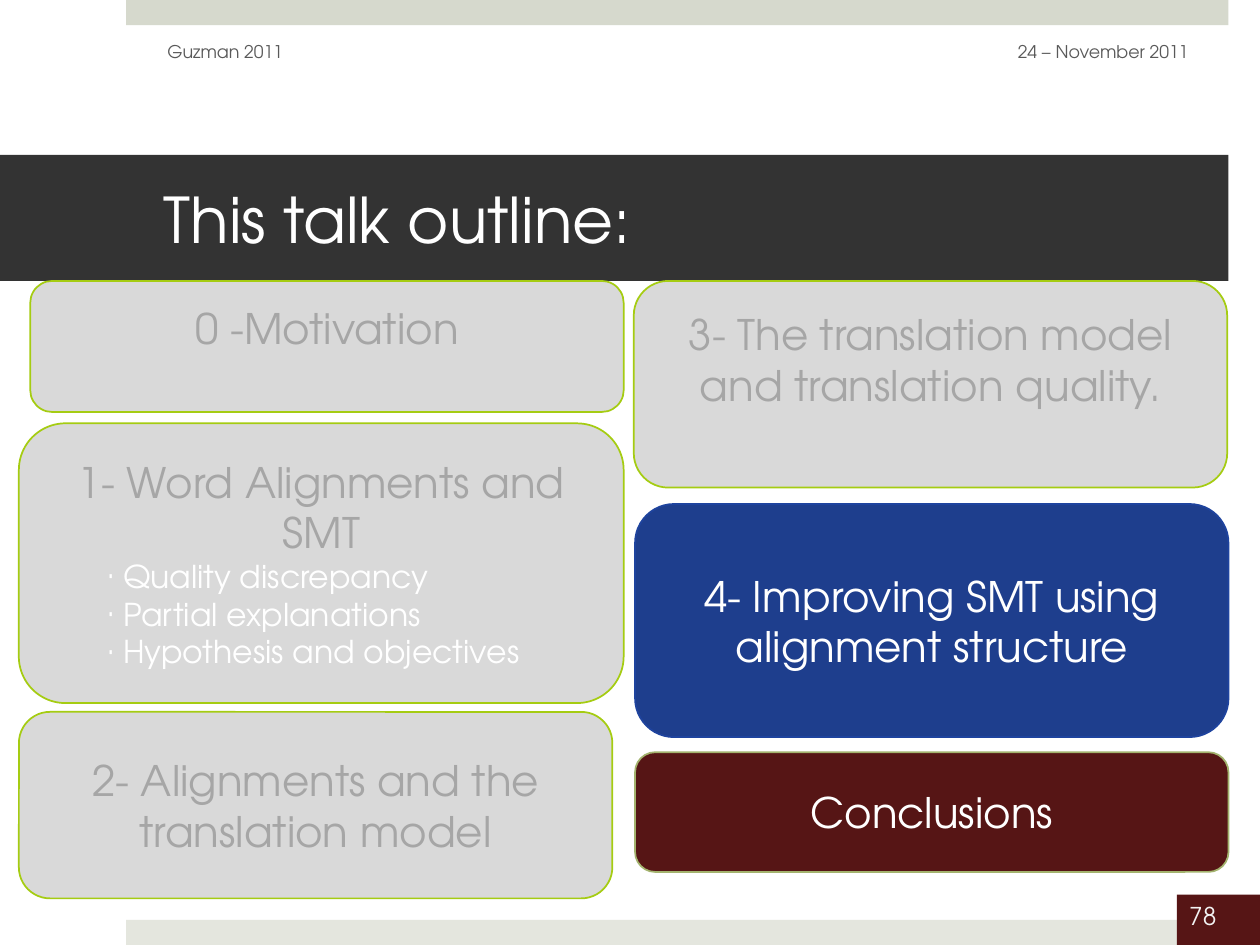
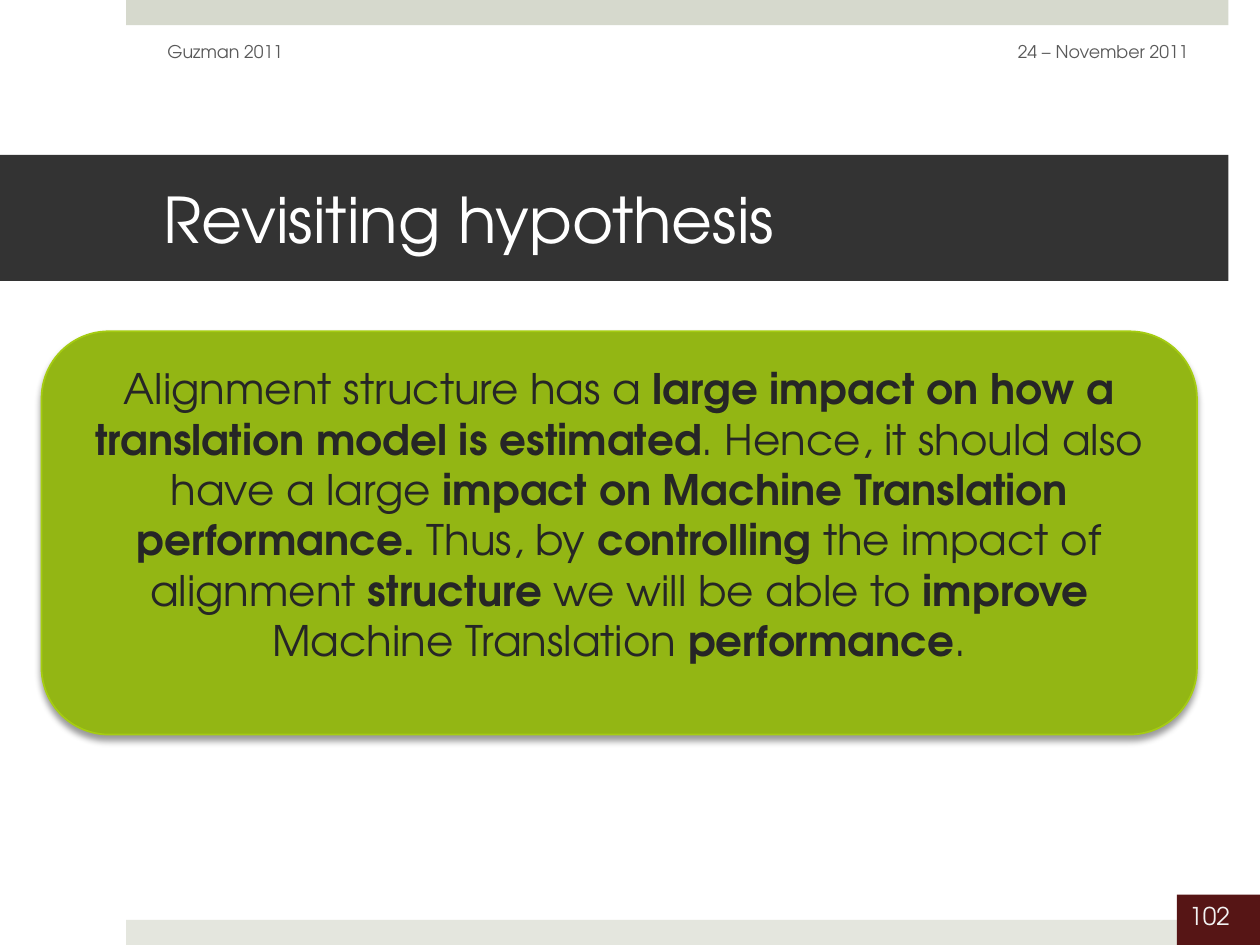
"""Build an outline slide and a hypothesis slide in one banded style."""
from lxml import etree
from pptx import Presentation
from pptx import util as u
from pptx.dml.color import RGBColor
from pptx.enum import shapes, text
from pptx.oxml import ns

FONT = "TeX Gyre Adventor"
DARK, WINE, WHITE = "333333", "561515", "FFFFFF"
GREY, FADED, LIME = "D9D9D9", "A6A6A6", "A5CC12"
COLS, ROWS = 10, 7.5
LEFT, RIGHT = text.PP_ALIGN.LEFT, text.PP_ALIGN.RIGHT
MID = text.PP_ALIGN.CENTER


def color(code):
    """Turn a hex string into a colour."""
    return RGBColor.from_string(code)


def child(parent, tag, **attrs):
    """Add a DrawingML element to a parent."""
    return etree.SubElement(parent, ns.qn("a:" + tag), attrs)


class Deck:
    """Hold the shared style and the current slide."""

    def __init__(self):
        """Start a deck of ten columns by seven and a half rows."""
        self.prs = Presentation()
        self.prs.slide_width, self.prs.slide_height = u.Inches(10), u.Inches(7.5)
        self.slide = None

    def grid(self, col, row, wide, high):
        """Turn grid units into a place and a size."""
        dx, dy = self.prs.slide_width / COLS, self.prs.slide_height / ROWS
        return [round(n) for n in (col * dx, row * dy, wide * dx, high * dy)]

    def rect(self, at, fill, line=None, kind=shapes.MSO_SHAPE.RECTANGLE):
        """Draw a flat filled shape."""
        box = self.slide.shapes.add_shape(kind, *self.grid(*at))
        box.shadow.inherit = False
        box.fill.solid()
        box.fill.fore_color.rgb = color(fill)
        if line:
            box.line.color.rgb = color(line)
            box.line.width = u.Pt(1)
        else:
            box.line.fill.background()
        return box

    def words(self, box, copy, size, ink, align=LEFT):
        """Fill a box with one paragraph, with bold parts between asterisks."""
        frame = box.text_frame
        frame.word_wrap = True
        frame.vertical_anchor = text.MSO_ANCHOR.MIDDLE
        para = frame.paragraphs[0]
        para.alignment = align
        for i, part in enumerate(copy.split("*")):
            run = para.add_run()
            run.text = part
            if i % 2:
                run.font.bold = True
        self.style(para, size, ink)

    def style(self, para, size, ink):
        """Set the font of a paragraph."""
        para.font.name, para.font.size = FONT, u.Pt(size)
        para.font.color.rgb = color(ink)

    def bullet(self, box, copy):
        """Add a small bulleted line to a card."""
        para = box.text_frame.add_paragraph()
        para.text = copy
        para.alignment = LEFT
        para.level = 1
        props = para._p.get_or_add_pPr()
        props.set("marL", str(u.Inches(0.62)))
        props.set("indent", str(u.Inches(-0.12)))
        child(props, "buFont", typeface=FONT)
        child(props, "buChar", char="·")
        self.style(para, 18, WHITE)

    def label(self, at, copy, align=LEFT):
        """Place a small header text."""
        box = self.slide.shapes.add_textbox(*self.grid(*at))
        self.words(box, copy, 10, "595959", align)

    def card(self, at, copy, fill=GREY, line=LIME, ink=FADED, lift=0):
        """Draw a rounded card, its text lifted by some bottom margin."""
        box = self.rect(at, fill, line, shapes.MSO_SHAPE.ROUNDED_RECTANGLE)
        self.words(box, copy, 24, ink, MID)
        box.text_frame.margin_bottom = u.Inches(0.05 + lift)
        return box

    def shade(self, box):
        """Give a card a soft shadow below."""
        effects = box._element.spPr.find(ns.qn("a:effectLst"))
        cast = child(effects, "outerShdw", blurRad=str(u.Pt(4)),
                     dist=str(u.Pt(3)), dir="5400000", algn="ctr",
                     rotWithShape="0")
        child(child(cast, "srgbClr", val="000000"), "alpha", val="40000")

    def page(self, title, number):
        """Start a slide with its bands, header, title and number."""
        self.slide = self.prs.slides.add_slide(self.prs.slide_layouts[6])
        self.rect((1, 0, 8.75, 0.2), "D6D9CD")
        self.rect((1, ROWS - 0.2, 8.75, 0.2), "E4E6DE")
        tab = self.rect((9.34, ROWS - 0.4, 0.66, 0.4), WINE)
        self.words(tab, number, 14, "F2F2F2")
        tab.text_frame.vertical_anchor = text.MSO_ANCHOR.TOP
        band = self.rect((0, 1.23, 9.75, 1), DARK)
        self.words(band, title, 36, WHITE)
        band.text_frame.margin_left = u.Inches(1.3)
        band.text_frame.margin_right = u.Inches(0.3)
        self.label((7.2, 0.21, 2.33, 0.4), "24 – November 2011", RIGHT)
        self.label((1.23, 0.21, 3.17, 0.4), "Guzman 2011")


def outline(deck):
    """Build the outline slide."""
    deck.page("This talk outline:", "78")
    wide = 4.71
    deck.card((0.24, 2.23, wide, 1.04), "0 -Motivation", lift=0.3)
    align = deck.card((0.15, 3.36, 4.8, 2.22), "1- Word Alignments and SMT")
    for topic in ("Quality discrepancy", "Partial explanations",
                  "Hypothesis and objectives"):
        deck.bullet(align, topic)
    deck.card((0.15, 5.65, wide, 1.48),
              "2- Alignments and the translation model")
    deck.card((5.03, 2.23, wide, 1.64),
              "3- The translation model and translation quality.", lift=0.4)
    deck.card((5.04, 4, wide, 1.85),
              "4- Improving SMT using alignment structure",
              "1E3E8D", "1E439E", WHITE)
    deck.card((5.04, 5.97, wide, 0.95), "Conclusions", WINE, "A3B36E", WHITE)


def claim(deck):
    """Build the hypothesis slide."""
    deck.page("Revisiting hypothesis", "102")
    box = deck.card(
        (0.33, 2.63, 9.17, 3.2),
        "Alignment structure has a *large impact on how a translation model "
        "is estimated*. Hence, it should also have a large *impact on Machine "
        "Translation performance.* Thus, by *controlling *the impact of "
        "alignment *structure* we will be able to *improve* Machine "
        "Translation *performance*.",
        "93B614", LIME, "262626", lift=0.3)
    deck.shade(box)


def main():
    """Build and save the deck."""
    deck = Deck()
    outline(deck)
    claim(deck)
    deck.prs.save("out.pptx")


if __name__ == "__main__":
    main()
